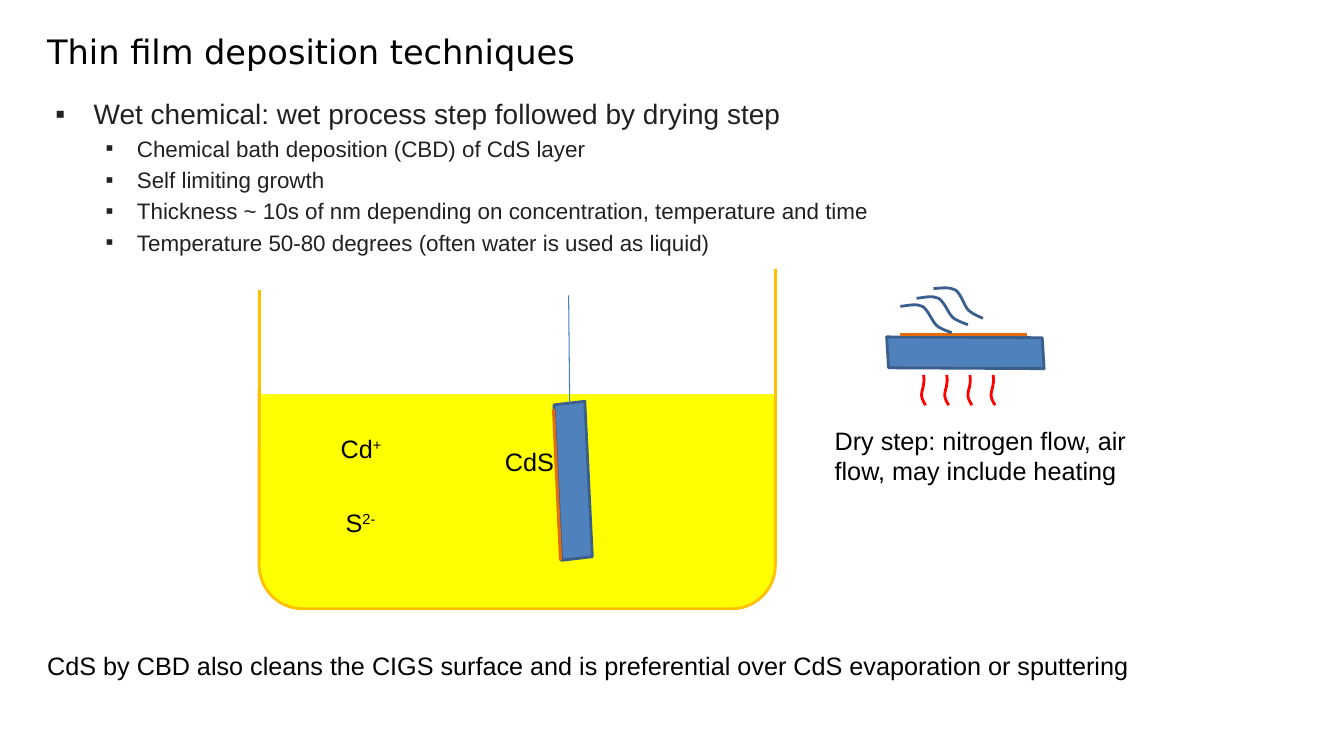
import lxml.etree
import pptx
import pptx.dml.color
import pptx.enum.shapes
import pptx.enum.text
import pptx.oxml.ns
import pptx.util

Inches = pptx.util.Inches
RGBColor = pptx.dml.color.RGBColor
Preset = pptx.enum.shapes.MSO_SHAPE
Anchor = pptx.enum.text.MSO_ANCHOR
qn = pptx.oxml.ns.qn

BLACK = RGBColor(0x00, 0x00, 0x00)
WHITE = RGBColor(0xFF, 0xFF, 0xFF)
INK = RGBColor(0x20, 0x21, 0x22)
LIQUID = RGBColor(0xFF, 0xFF, 0x00)
GLASS = RGBColor(0xFF, 0xC0, 0x00)
SUBSTRATE = RGBColor(0x4F, 0x81, 0xBD)
OUTLINE = RGBColor(0x3A, 0x5F, 0x8C)
WIRE = RGBColor(0x4B, 0x7E, 0xBC)
FILM = RGBColor(0xE4, 0x6C, 0x0A)
HEAT = RGBColor(0xFF, 0x00, 0x00)

BULLETS = [
    (0, "Wet chemical: wet process step followed by drying step"),
    (1, "Chemical bath deposition (CBD) of CdS layer"),
    (1, "Self limiting growth"),
    (1, "Thickness ~ 10s of nm depending on concentration, temperature and time"),
    (1, "Temperature 50-80 degrees (often water is used as liquid)"),
]
LEVELS = [(0.38, -0.38, 20), (0.81, -0.31, 16)]
GAS_CURVE = [(0, 0), (0.08, -0.01), (0.16, -0.03), (0.22, 0), (0.28, 0.04),
             (0.31, 0.14), (0.36, 0.19), (0.41, 0.23), (0.51, 0.26), (0.51, 0.26)]
GAS_TILTS = [0, 0, 4]
HEAT_CURVE = [(0, 0), (-0.02, -0.03), (-0.04, -0.07), (-0.04, -0.1), (-0.04, -0.14),
              (-0.02, -0.18), (-0.02, -0.21), (-0.01, -0.24), (-0.02, -0.3), (-0.02, -0.3)]


def style_font(paragraph, size, color, name="Arial"):
    """Set the font of a whole paragraph."""
    paragraph.font.size = pptx.util.Pt(size)
    paragraph.font.name = name
    paragraph.font.color.rgb = color


def add_frame(slide, left, top, width, height):
    """Add a wrapping text box and return its text frame."""
    shape = slide.shapes.add_textbox(Inches(left), Inches(top), Inches(width), Inches(height))
    shape.text_frame.word_wrap = True
    return shape.text_frame


def add_label(slide, left, top, width, height, text, superscript=""):
    """Add an 18 point label, with an optional superscript."""
    paragraph = add_frame(slide, left, top, width, height).paragraphs[0]
    paragraph.add_run().text = text
    if superscript:
        run = paragraph.add_run()
        run.text = superscript
        run.font._element.set("baseline", "30000")
    style_font(paragraph, 18, BLACK)


def add_block(slide, preset, box, fill, line=None, rotation=0):
    """Add a filled preset shape with an optional outline."""
    shape = slide.shapes.add_shape(preset, *[Inches(length) for length in box])
    shape.shadow.inherit = False
    shape.rotation = rotation
    shape.fill.solid()
    shape.fill.fore_color.rgb = fill
    if line is None:
        shape.line.fill.background()
    else:
        shape.line.color.rgb = line
        shape.line.width = pptx.util.Pt(2)


def add_line(slide, start, end, color, width=2.25):
    """Add a straight line between two points."""
    connector = slide.shapes.add_connector(
        pptx.enum.shapes.MSO_CONNECTOR.STRAIGHT,
        *[Inches(length) for length in start + end])
    connector.line.color.rgb = color
    connector.line.width = pptx.util.Pt(width)
    lxml.etree.SubElement(connector._element.spPr, qn("a:effectLst"))


def add_wave(slide, left, top, curve, color, rotation=0):
    """Draw an open chain of cubic curves that starts at the given point."""
    points = [(Inches(left + x), Inches(top + y)) for x, y in curve]
    builder = slide.shapes.build_freeform(*points[0])
    builder.add_line_segments(points[1:], close=False)
    shape = builder.convert_to_shape()
    segments = list(shape._element.iter(qn("a:lnTo")))
    outline = segments[0].getparent()
    for first in range(0, len(segments), 3):
        cubic = lxml.etree.SubElement(outline, qn("a:cubicBezTo"))
        for segment in segments[first:first + 3]:
            cubic.append(segment[0])
            outline.remove(segment)
    shape.rotation = rotation
    shape.shadow.inherit = False
    shape.fill.background()
    shape.line.color.rgb = color
    shape.line.width = pptx.util.Pt(2)


def add_title(slide, left, top, width, height):
    """Place the slide title."""
    frame = add_frame(slide, left, top, width, height)
    frame.vertical_anchor = Anchor.MIDDLE
    frame.text = "Thin film deposition techniques"
    style_font(frame.paragraphs[0], 24, BLACK, "DejaVu Sans")


def add_bullets(slide, left, top, width, height):
    """Place the two-level bullet list."""
    frame = add_frame(slide, left, top, width, height)
    for index, (level, text) in enumerate(BULLETS):
        paragraph = frame.add_paragraph() if index else frame.paragraphs[0]
        paragraph.text = text
        paragraph.level = level
        margin, indent, size = LEVELS[level]
        properties = paragraph._p.get_or_add_pPr()
        properties.set("marL", str(Inches(margin)))
        properties.set("indent", str(Inches(indent)))
        if index:
            spacing = lxml.etree.SubElement(properties, qn("a:spcBef"))
            lxml.etree.SubElement(spacing, qn("a:spcPct")).set("val", "20000")
        lxml.etree.SubElement(properties, qn("a:buFont")).set("typeface", "Arial")
        lxml.etree.SubElement(properties, qn("a:buChar")).set("char", "▪")
        style_font(paragraph, size, INK)


def add_bath(slide, left, top, width, height):
    """Draw the chemical bath with the hanging substrate."""
    right = left + width
    add_block(slide, Preset.ROUNDED_RECTANGLE,
              (left, top + 0.77, width, height - 0.77), LIQUID, GLASS)
    add_block(slide, Preset.RECTANGLE, (left, top + 0.66, width + 0.08, 0.58), WHITE)
    add_line(slide, (right, top + 1.58), (right, top), GLASS)
    add_line(slide, (left, top + 1.79), (left, top + 0.21), GLASS)
    add_block(slide, Preset.PARALLELOGRAM, (left + 2.91, top + 1.33, 0.41, 1.54),
              SUBSTRATE, OUTLINE, 353.4)
    add_line(slide, (left + 3.08, top + 1.33), (left + 3.07, top + 0.26), WIRE, 0.75)
    add_label(slide, left + 0.71, top + 1.58, 0.71, 0.4, "Cd", "+")
    add_label(slide, left + 0.76, top + 2.31, 0.71, 0.4, "S", "2-")
    add_line(slide, (left + 2.92, top + 1.39), (left + 2.99, top + 2.89), FILM)
    add_label(slide, left + 2.34, top + 1.71, 0.71, 0.4, "CdS")


def add_drying(slide, left, top, width, height):
    """Draw the drying step with gas flow above and heat below."""
    add_block(slide, Preset.PARALLELOGRAM, (left + 1.19, top - 0.14, 0.41, 1.54),
              SUBSTRATE, OUTLINE, 86.5)
    add_line(slide, (left + 2.01, top + 0.45), (left + 0.75, top + 0.45), FILM)
    add_label(slide, left, top + height - 0.71, width, 0.71,
              "Dry step: nitrogen flow, air flow, may include heating")
    for index, tilt in enumerate(GAS_TILTS):
        add_wave(slide, left + 0.75 + 0.16 * index, top + 0.17 - 0.08 * index,
                 GAS_CURVE, OUTLINE, tilt)
    for index in range(4):
        add_wave(slide, left + 1 + 0.23 * index, top + 1.15, HEAT_CURVE, HEAT)


def main():
    """Build and save the slide."""
    presentation = pptx.Presentation()
    presentation.slide_width = Inches(13.33)
    presentation.slide_height = Inches(7.5)
    slide = presentation.slides.add_slide(presentation.slide_layouts[6])
    add_title(slide, 0.37, 0.21, 12.6, 0.6)
    add_bullets(slide, 0.45, 0.91, 9.45, 3.33)
    add_bath(slide, 2.57, 2.67, 5.12, 3.37)
    add_drying(slide, 8.18, 2.87, 3.22, 2.01)
    add_label(slide, 0.37, 6.4, 12.21, 0.4,
              "CdS by CBD also cleans the CIGS surface and is preferential "
              "over CdS evaporation or sputtering")
    presentation.save("out.pptx")


if __name__ == "__main__":
    main()
